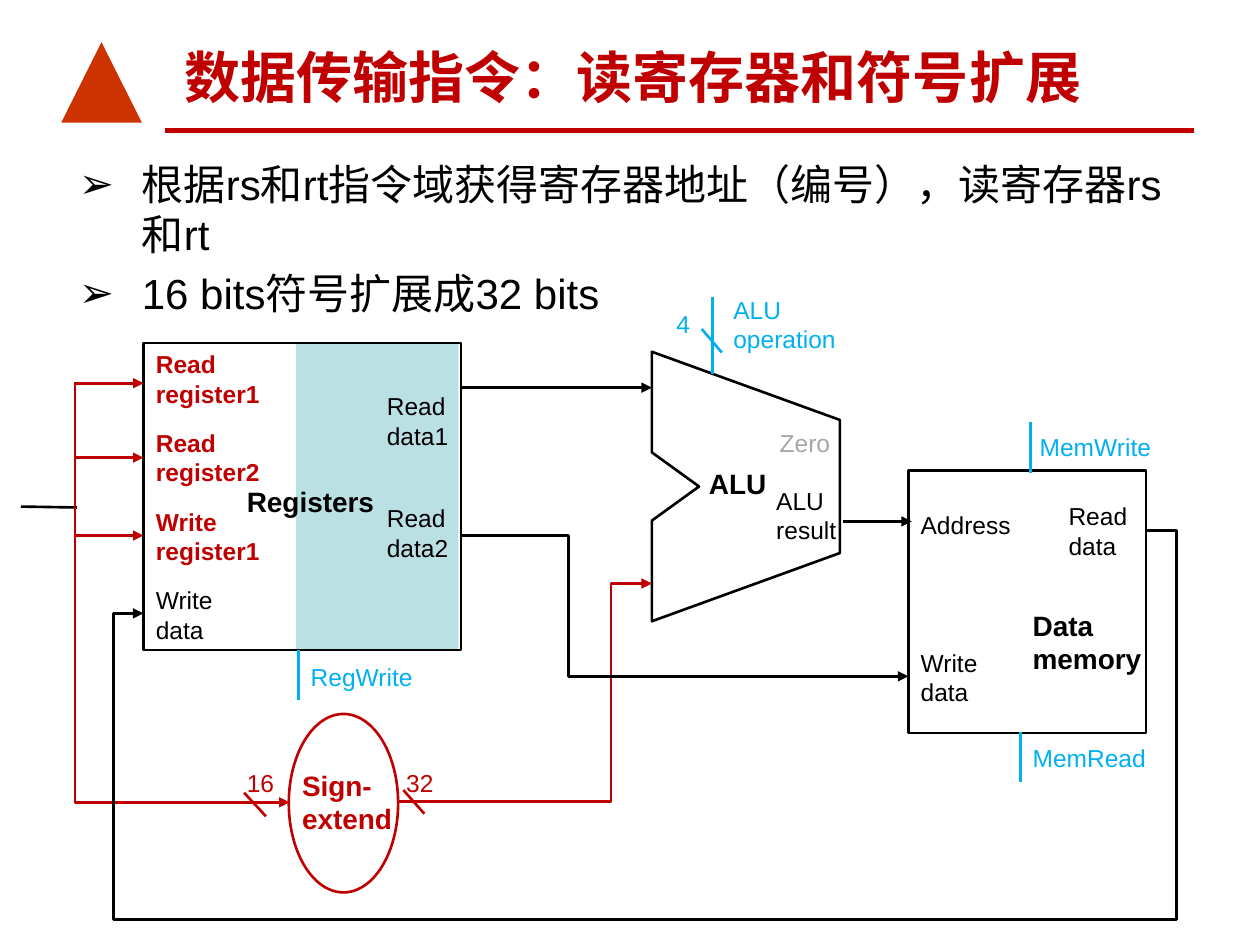
import pptx
import pptx.dml.color
import pptx.enum.shapes
import pptx.enum.text
import pptx.oxml
import pptx.oxml.ns
import pptx.util
from lxml import etree

Pt = pptx.util.Pt
SHAPES = pptx.enum.shapes.MSO_SHAPE
CONNECTORS = pptx.enum.shapes.MSO_CONNECTOR
ANCHORS = pptx.enum.text.MSO_ANCHOR
qn = pptx.oxml.ns.qn

RED, BLACK, BLUE, GRAY, TEAL = "C00000", "000000", "00B0F0", "A6A6A6", "BBE0E3"
FONT = "Arial"

# Content: all lengths in points
TITLE = "数据传输指令：读寄存器和符号扩展"
BULLETS = ["根据rs和rt指令域获得寄存器地址（编号），读寄存器rs和rt", "16 bits符号扩展成32 bits"]

# Register inputs, stacked at an equal pitch
INPUTS = [
    ("Read\nregister1", RED, True),
    ("Read\nregister2", RED, True),
    ("Write\nregister1", RED, True),
    ("Write\ndata", BLACK, False),
]
INPUT_LEFT, INPUT_TOP, INPUT_PITCH = 82, 196, 45

# Preset shapes: kind, (left, top, width, height), fill, line
BLOCKS = [
    (SHAPES.RECTANGLE, (169, 196.5, 93, 175.5), TEAL, None),
    (SHAPES.RECTANGLE, (82, 196, 181.5, 175.5), None, BLACK),
    (SHAPES.OVAL, (165, 408, 62.5, 102), None, RED),
    (SHAPES.RECTANGLE, (519, 269, 136, 150), None, BLACK),
]

ALU_OUTLINE = [(372.5, 201), (480, 240), (480, 316), (372.5, 355),
               (372.5, 297.5), (399.5, 278), (372.5, 258.5)]

# Labels: text, (left, top, width, height), size, colour, bold
LABELS = [
    ("Read\ndata1", (214, 220, 50, 41), 14, BLACK, False),
    ("Read\ndata2", (214, 284, 50, 41), 14, BLACK, False),
    ("Registers", (134, 273.5, 91, 27), 16, BLACK, True),
    ("RegWrite", (170.5, 374.5, 89, 24.5), 14, BLUE, False),
    ("ALU", (398, 263, 48, 30), 16, BLACK, True),
    ("Zero", (438.5, 241, 50, 27), 14, GRAY, False),
    ("ALU\nresult", (436.5, 274, 50, 47), 14, BLACK, False),
    ("4", (379.5, 173, 31, 27), 14, BLUE, False),
    ("ALU operation", (412, 165, 89, 47), 14, BLUE, False),
    ("Sign-\nextend", (165.5, 435.5, 68.5, 46), 16, RED, True),
    ("16", (134, 435.5, 31, 24.5), 14, RED, False),
    ("32", (225, 435.5, 31, 24.5), 14, RED, False),
    ("Data\nmemory", (583, 344, 87, 46), 16, BLACK, True),
    ("Address", (519, 288, 78.5, 24.5), 14, BLACK, False),
    ("Write\ndata", (519, 366.5, 78.5, 41), 14, BLACK, False),
    ("Read\ndata", (603.5, 283, 51, 41), 14, BLACK, False),
    ("MemRead", (583, 421, 89, 24.5), 14, BLUE, False),
    ("MemWrite", (587, 243.5, 79, 24.5), 14, BLUE, False),
]

# Straight lines: start, end, colour, arrowhead at the end
WIRES = [
    ((42.5, 219), (82, 219), RED, True),
    ((42.5, 261.5), (82, 261.5), RED, True),
    ((42.5, 306), (82, 306), RED, True),
    ((263.5, 221.5), (372.5, 221.5), BLACK, True),
    ((481.5, 298), (521, 298), BLACK, True),
    ((12, 289.5), (44, 290), BLACK, False),
    # control signals
    ((407, 170), (407, 214), BLUE, False),
    ((170.5, 371.5), (170.5, 400), BLUE, False),
    ((583, 418.5), (583, 447), BLUE, False),
    ((589, 241), (589, 270), BLUE, False),
    # bus width ticks
    ((401, 188), (412.5, 201.5), BLUE, False),
    ((230.5, 451.5), (242.5, 465), RED, False),
    ((139.5, 453), (152, 466.5), RED, False),
]

# Elbow lines: preset, start, end, colour, arrow end, bend positions (1 = full width)
ELBOWS = [
    ("bentConnector2", (165.5, 458.5), (43, 219), RED, "headEnd", []),
    ("bentConnector3", (227, 458), (372.5, 333.5), RED, "tailEnd", [0.84]),
    ("bentConnector3", (263.5, 306), (519, 386.5), BLACK, "tailEnd", [0.24]),
    ("bentConnector5", (655, 303), (82, 350.5), BLACK, "tailEnd", [-0.03, 4.68, 1.03]),
]


def color(value):
    return pptx.dml.color.RGBColor.from_string(value)


def style_shape(shape, fill, line, width=1.5):
    shape.shadow.inherit = False
    if fill:
        shape.fill.solid()
        shape.fill.fore_color.rgb = color(fill)
    else:
        shape.fill.background()
    if line:
        shape.line.color.rgb = color(line)
        shape.line.width = Pt(width)
    else:
        shape.line.fill.background()


def add_line(page, start, end, line_color, arrow=None, width=1.5, kind=CONNECTORS.STRAIGHT):
    line = page.shapes.add_connector(kind, *map(Pt, start + end))
    line.line.color.rgb = color(line_color)
    line.line.width = Pt(width)
    properties = line._element.spPr
    if arrow:
        etree.SubElement(properties.find(qn("a:ln")), qn("a:" + arrow), type="triangle")
    etree.SubElement(properties, qn("a:effectLst"))
    return line


def add_elbow(page, preset, start, end, line_color, arrow, bends):
    line = add_line(page, start, end, line_color, arrow, kind=CONNECTORS.ELBOW)
    geometry = line._element.spPr.find(qn("a:prstGeom"))
    geometry.set("prst", preset)
    guides = geometry.find(qn("a:avLst"))
    for number, bend in enumerate(bends, 1):
        etree.SubElement(guides, qn("a:gd"), name=f"adj{number}",
                         fmla=f"val {round(bend * 100000)}")


def add_bullet(para):
    properties = para._p.get_or_add_pPr()
    properties.set("marL", str(Pt(36)))
    properties.set("indent", str(-Pt(36)))
    etree.SubElement(properties, qn("a:buFont"), typeface=FONT)
    etree.SubElement(properties, qn("a:buChar"), char="➢")


def add_text(page, text, place, size, text_color, bold=False,
             anchor=ANCHORS.TOP, bulleted=False):
    frame = page.shapes.add_textbox(*map(Pt, place)).text_frame
    frame.word_wrap = True
    frame.vertical_anchor = anchor
    for number, line in enumerate(text.split("\n")):
        para = frame.add_paragraph() if number else frame.paragraphs[0]
        if bulleted:
            add_bullet(para)
            if number:
                para.space_before = Pt(size * 0.2)
        span = para.add_run()
        span.text = line
        span.font.name = FONT
        span.font.size = Pt(size)
        span.font.bold = bold
        span.font.color.rgb = color(text_color)


def main():
    deck = pptx.Presentation()
    deck.slide_width, deck.slide_height = Pt(720), Pt(540)
    page = deck.slides.add_slide(deck.slide_layouts[6])

    # Header: rule, plain emblem, title
    add_line(page, (94.5, 74.5), (682.5, 74.5), RED, width=3)
    emblem = page.shapes.add_shape(SHAPES.ISOSCELES_TRIANGLE, *map(Pt, (35, 24, 46, 46)))
    style_shape(emblem, "CC3300", None)
    add_text(page, TITLE, (98.5, 18, 576, 48), 32, RED, True, ANCHORS.BOTTOM)

    # Blocks of the datapath
    for kind, place, fill, line in BLOCKS:
        style_shape(page.shapes.add_shape(kind, *map(Pt, place)), fill, line)
    first, *others = [tuple(map(Pt, corner)) for corner in ALU_OUTLINE]
    builder = page.shapes.build_freeform(*first)
    builder.add_line_segments(others, close=True)
    style_shape(builder.convert_to_shape(), None, BLACK)

    # Text
    add_text(page, "\n".join(BULLETS), (38, 87, 644.5, 106.5), 24, BLACK, bulleted=True)
    for row, (text, text_color, bold) in enumerate(INPUTS):
        place = (INPUT_LEFT, INPUT_TOP + row * INPUT_PITCH, 91, 41)
        add_text(page, text, place, 14, text_color, bold)
    for label in LABELS:
        add_text(page, *label)

    # Wires
    for start, end, line_color, pointed in WIRES:
        add_line(page, start, end, line_color, "tailEnd" if pointed else None)
    for elbow in ELBOWS:
        add_elbow(page, *elbow)

    deck.save("out.pptx")


if __name__ == "__main__":
    main()
